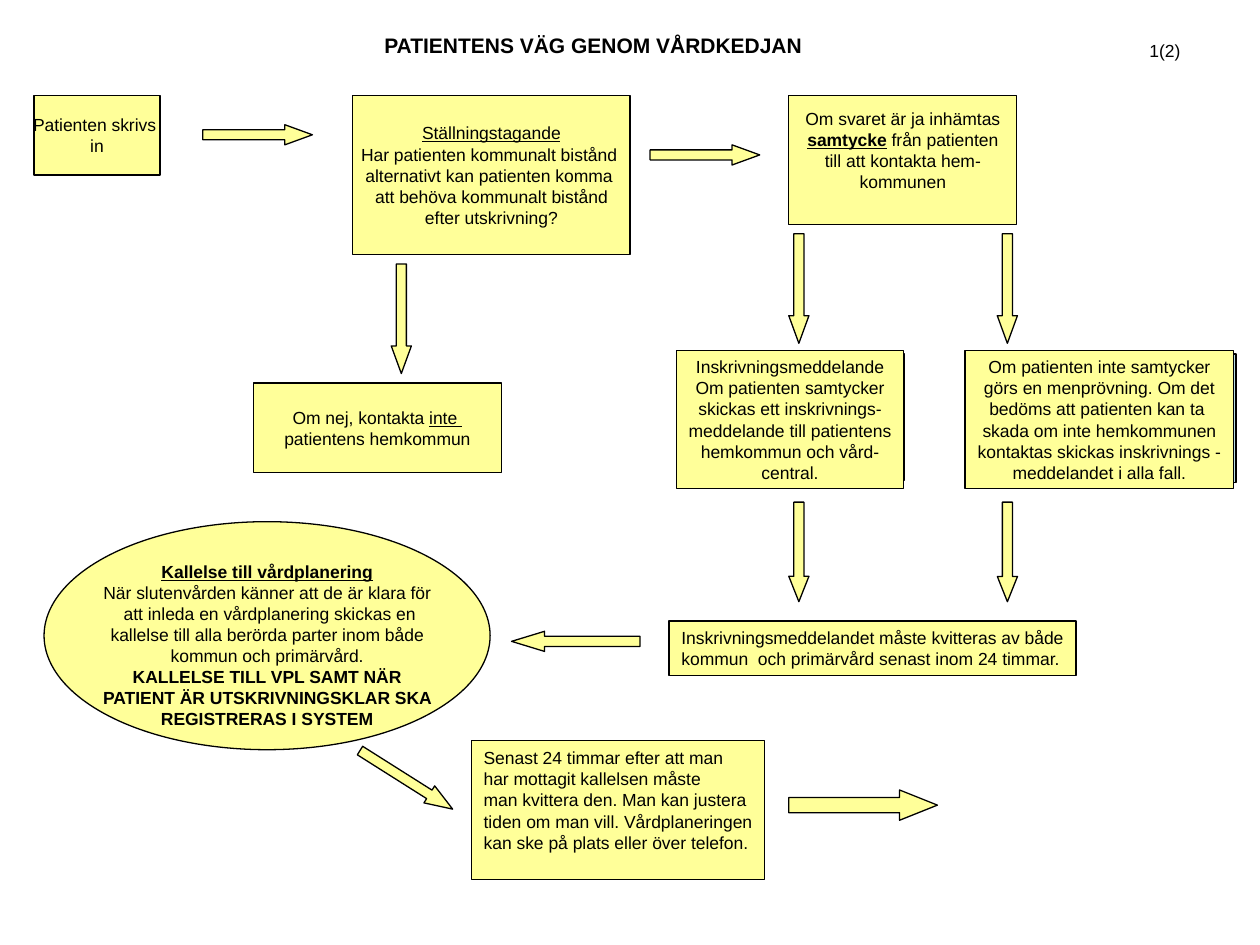
from pptx import Presentation
from pptx.util import Inches, Pt
from pptx.dml.color import RGBColor
from pptx.enum.shapes import MSO_SHAPE as Shape
from pptx.enum.text import MSO_ANCHOR as Anchor, MSO_AUTO_SIZE as AutoSize, PP_ALIGN as Align

COLORS = {"box": "FFFF99", "backing": "BBE0E3", "ink": "000000"}

prs = Presentation()
prs.slide_width, prs.slide_height = Inches(10), Inches(7.5)
COL, ROW = prs.slide_width / 100, prs.slide_height / 75  # grid of 100 columns by 75 rows
s = prs.slides.add_slide(prs.slide_layouts[5])


def add_shape(kind, x, y, w, h, fill="box"):
    sp = s.shapes.add_shape(kind, int(x * COL), int(y * ROW), int(w * COL), int(h * ROW))
    sp.shadow.inherit = False
    sp.fill.solid()
    sp.fill.fore_color.rgb = RGBColor.from_string(COLORS[fill])
    sp.line.color.rgb = RGBColor.from_string(COLORS["ink"])
    sp.line.width = Pt(0.75)
    return sp


def write(tf, lines, align, size=10):
    """Each line is a string or a list of (text, style); style holds b and/or u."""
    for i, line in enumerate(lines):
        p = tf.paragraphs[0] if i == 0 else tf.add_paragraph()
        p.alignment = align
        for text, style in [(line, "")] if isinstance(line, str) else line:
            r = p.add_run()
            r.text = text
            r.font.name, r.font.size = "Arial", Pt(size)
            r.font.bold, r.font.underline = "b" in style, "u" in style
            r.font.color.rgb = RGBColor.from_string(COLORS["ink"])


# Title
title = s.shapes.title
title.left, title.top = int(29.5 * COL), int(2.1 * ROW)
title.width, title.height = int(38.6 * COL), int(3 * ROW)
title.text_frame.vertical_anchor = Anchor.TOP
title.text_frame.auto_size = AutoSize.NONE
write(title.text_frame, [[("PATIENTENS VÄG GENOM VÅRDKEDJAN", "b")]], Align.LEFT, 12)

# Page number
page = s.shapes.add_textbox(int(89.4 * COL), int(2.7 * ROW), int(6.1 * COL), int(2.7 * ROW))
page.text_frame.word_wrap = True
write(page.text_frame, ["1(2)"], Align.CENTER)
page.text_frame.paragraphs[0].space_before = Pt(6.2)

# Backings behind the two consent boxes
add_shape(Shape.RECTANGLE, 76.8, 28.1, 21.3, 10.2, "backing")
add_shape(Shape.RECTANGLE, 53.9, 28.1, 17.9, 10, "backing")

# Steps: column, row, width, height, alignment, free lines at the bottom, text
C, L = Align.CENTER, Align.LEFT
steps = [
    (2.7, 7.6, 10, 6.3, C, 0, ["Patienten skrivs ", "in"]),
    (62.6, 7.6, 18.1, 10.2, C, 1, [
        "Om svaret är ja inhämtas",
        [("samtycke", "bu"), (" från patienten", "")],
        "till att kontakta hem-",
        "kommunen"]),
    (20.1, 30.4, 19.7, 7.1, C, 0, [
        [("Om nej, kontakta ", ""), ("inte ", "u")],
        "patientens hemkommun"]),
    (28, 7.6, 22, 12.6, C, 0, [
        [("Ställningstagande", "u")],
        "Har patienten kommunalt bistånd ",
        "alternativt kan patienten komma ",
        "att behöva kommunalt bistånd",
        "efter utskrivning?"]),
    (53.7, 27.8, 18, 11, C, 0, [
        "Inskrivningsmeddelande",
        "Om patienten samtycker",
        "skickas ett inskrivnings-",
        "meddelande till patientens",
        "hemkommun och vård-",
        "central."]),
    (76.6, 27.8, 21.3, 11, C, 0, [
        "Om patienten inte samtycker",
        "görs en menprövning. Om det",
        "bedöms att patienten kan ta ",
        "skada om inte hemkommunen",
        "kontaktas skickas inskrivnings -",
        "meddelandet i alla fall."]),
    (53.1, 49.3, 32.3, 4.3, L, 0, [
        "Inskrivningsmeddelandet måste kvitteras av både",
        "kommun  och primärvård senast inom 24 timmar."]),
    (37.4, 58.8, 23.3, 11, L, 1, [
        "Senast 24 timmar efter att man",
        "har mottagit kallelsen måste",
        "man kvittera den. Man kan justera",
        "tiden om man vill. Vårdplaneringen",
        "kan ske på plats eller över telefon."]),
]
for x, y, w, h, align, free, lines in steps:
    tf = add_shape(Shape.RECTANGLE, x, y, w, h).text_frame
    tf.word_wrap = False
    tf.vertical_anchor = Anchor.MIDDLE
    tf.margin_bottom = Inches(0.05 + 0.16 * free)
    write(tf, lines, align)

# Care planning call
tf = add_shape(Shape.OVAL, 3.5, 41.4, 35.4, 18.1).text_frame
tf.word_wrap = False
tf.vertical_anchor = Anchor.TOP
write(tf, [
    [("Kallelse till vårdplanering", "bu")],
    "När slutenvården känner att de är klara för",
    " att inleda en vårdplanering skickas en",
    "kallelse till alla berörda parter inom både",
    " kommun och primärvård. ",
    [("KALLELSE TILL VPL SAMT NÄR", "b")],
    [(" PATIENT ÄR UTSKRIVNINGSKLAR SKA ", "b")],
    [("REGISTRERAS I SYSTEM", "b")],
], C)

# Arrows: centre column, centre row, length, thickness, rotation, head length
arrows = [
    (20.45, 10.7, 8.7, 1.6, 0, 1.37),
    (55.95, 12.3, 8.7, 1.6, 0, 1.37),
    (31.85, 25.3, 8.7, 1.6, 90, 1.37),
    (63.4, 22.9, 8.7, 1.6, 90, 1.37),
    (79.95, 22.9, 8.7, 1.6, 90, 1.37),
    (63.4, 43.8, 7.9, 1.6, 90, 1.26),
    (79.95, 43.8, 7.9, 1.6, 90, 1.25),
    (45.7, 50.9, 10.2, 1.6, 180, 1.64),
    (32.25, 61.9, 8.7, 1.6, 32.3, 1.37),
    (68.5, 63.9, 11.8, 2.4, 0, 1.25),
]
for cx, cy, length, thick, angle, head in arrows:
    sp = add_shape(Shape.RIGHT_ARROW, cx - length / 2, cy - thick / 2, length, thick)
    sp.rotation = angle
    sp.adjustments[1] = head

prs.save("out.pptx")
